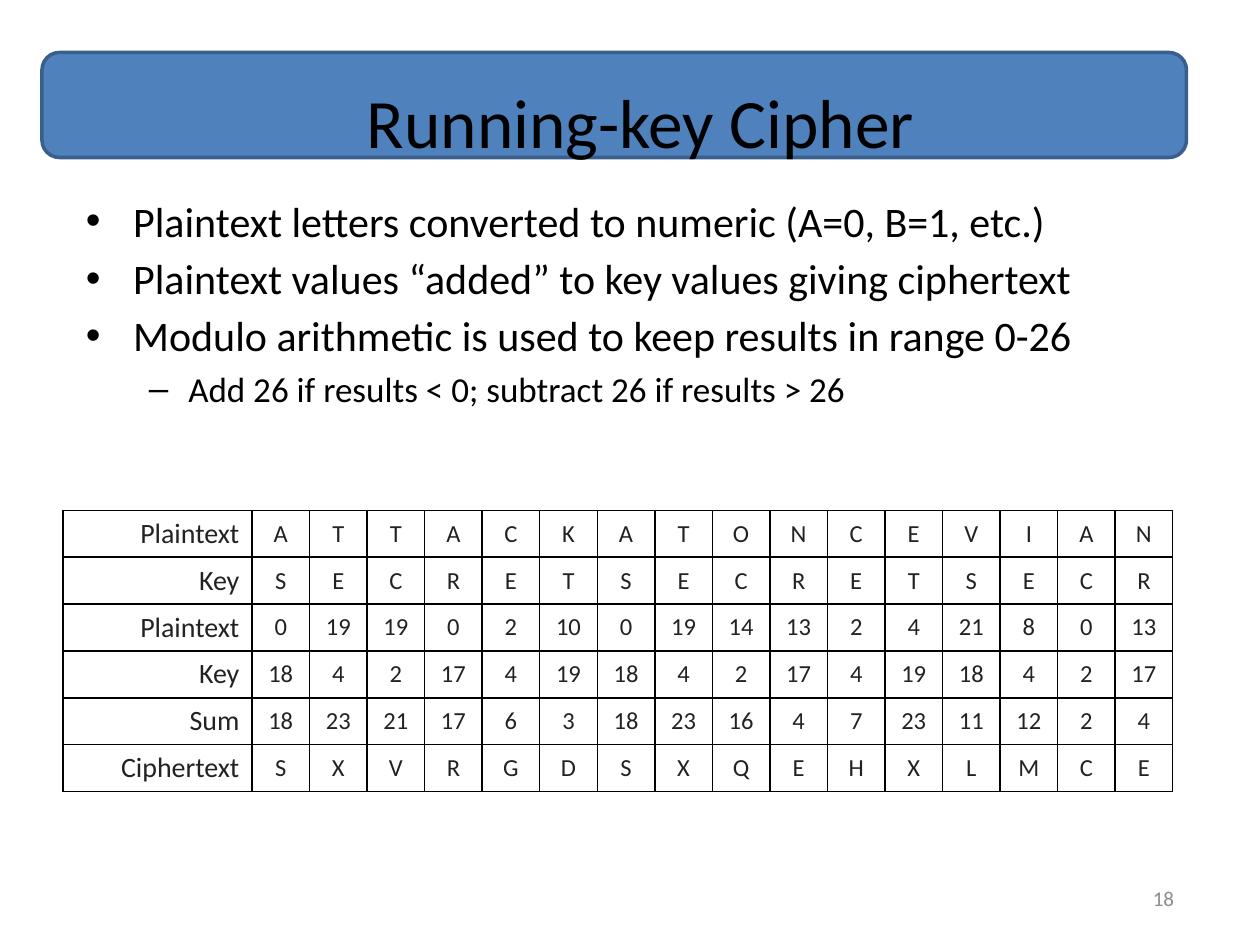
import lxml.etree
import pptx
import pptx.dml.color
import pptx.enum.shapes
import pptx.enum.text
import pptx.oxml.ns
import pptx.util

Pt = pptx.util.Pt
RGBColor = pptx.dml.color.RGBColor
ALIGN = pptx.enum.text.PP_ALIGN
MIDDLE = pptx.enum.text.MSO_ANCHOR.MIDDLE
qn = pptx.oxml.ns.qn

BLUE = RGBColor(0x4F, 0x81, 0xBD)
DARK_BLUE = RGBColor(0x3A, 0x5F, 0x8C)
BLACK = RGBColor(0, 0, 0)
CHARCOAL = RGBColor(0x22, 0x22, 0x22)
GRAY = RGBColor(0x8C, 0x8C, 0x8C)


def write(para, text, size, color, align=ALIGN.LEFT):
    para.alignment = align
    span = para.add_run()
    span.text = text
    span.font.color.rgb = color
    for name, value in {"name": "Calibri", "size": Pt(size)}.items():
        setattr(span.font, name, value)


def add_box(left, top, width, height, anchor):
    """Add a wrapping text box and return its text frame."""
    box = slide.shapes.add_textbox(Pt(left), Pt(top), Pt(width), Pt(height))
    for name, value in {"word_wrap": True, "vertical_anchor": anchor}.items():
        setattr(box.text_frame, name, value)
    return box.text_frame


deck = pptx.Presentation()
deck.slide_width, deck.slide_height = Pt(720), Pt(540)
slide = deck.slides.add_slide(deck.slide_layouts[6])

# Title on its banner
banner = slide.shapes.add_shape(
    pptx.enum.shapes.MSO_SHAPE.ROUNDED_RECTANGLE, Pt(24), Pt(30), Pt(654), Pt(60))
banner.shadow.inherit = False
banner.fill.solid()
banner.fill.fore_color.rgb = BLUE
banner.line.color.rgb = DARK_BLUE
banner.line.width = Pt(2)
title = add_box(54, 48, 624, 42, MIDDLE)
write(title.paragraphs[0], "Running-key Cipher", 39.6, BLACK, ALIGN.CENTER)

# Bullets: text, level, size, left margin, hanging indent, bullet
FIRST_LEVEL = (0, 24, 27, 27, "•")
SECOND_LEVEL = (1, 20, 58.5, 22.5, "–")
points = [
    ("Plaintext letters converted to numeric (A=0, B=1, etc.)", FIRST_LEVEL),
    ("Plaintext values “added” to key values giving ciphertext", FIRST_LEVEL),
    ("Modulo arithmetic is used to keep results in range 0-26", FIRST_LEVEL),
    ("Add 26 if results < 0; subtract 26 if results > 26", SECOND_LEVEL),
]
body = add_box(42, 108, 648, 144, pptx.enum.text.MSO_ANCHOR.TOP)
for index, (text, (level, size, margin, hanging, mark)) in enumerate(points):
    para = body.add_paragraph() if index else body.paragraphs[0]
    para.level = level
    if index:
        para.space_before = Pt(4)
    properties = para._p.get_or_add_pPr()
    properties.set("marL", str(Pt(margin)))
    properties.set("indent", str(-Pt(hanging)))
    lxml.etree.SubElement(properties, qn("a:buFont"), typeface="Arial")
    lxml.etree.SubElement(properties, qn("a:buChar"), char=mark)
    write(para, text, size, BLACK)

# Cipher table: letters and numbers follow A=0, B=1, ...
plaintext = "ATTACKATONCEVIAN"
key = "SECRETSECRETSECR"
sums = [18, 23, 21, 17, 6, 3, 18, 23, 16, 4, 7, 23, 11, 12, 2, 4]
rows = [
    ("Plaintext", plaintext),
    ("Key", key),
    ("Plaintext", [ord(letter) - ord("A") for letter in plaintext]),
    ("Key", [ord(letter) - ord("A") for letter in key]),
    ("Sum", sums),
    ("Ciphertext", [chr(ord("A") + number) for number in sums]),
]
LABEL_WIDTH, LETTER_WIDTH, ROW_HEIGHT = 108, 32.9, 26.8
table = slide.shapes.add_table(
    len(rows), len(plaintext) + 1, Pt(36), Pt(291.6),
    Pt(LABEL_WIDTH + LETTER_WIDTH * len(plaintext)), Pt(ROW_HEIGHT * len(rows))).table
table.first_row = table.horz_banding = False
for index, column in enumerate(table.columns):
    column.width = Pt(LETTER_WIDTH if index else LABEL_WIDTH)
for table_row, (label, values) in zip(table.rows, rows):
    table_row.height = Pt(ROW_HEIGHT)
    for index, (cell, value) in enumerate(zip(table_row.cells, [label, *values])):
        size, align = (14, ALIGN.CENTER) if index else (16, ALIGN.RIGHT)
        write(cell.text_frame.paragraphs[0], str(value), size, CHARCOAL, align)
        cell.vertical_anchor = MIDDLE
        properties = cell._tc.get_or_add_tcPr()
        for side in ("a:lnL", "a:lnR", "a:lnT", "a:lnB"):
            border = lxml.etree.SubElement(properties, qn(side), w=str(Pt(1)))
            fill = lxml.etree.SubElement(border, qn("a:solidFill"))
            lxml.etree.SubElement(fill, qn("a:srgbClr"), val=str(BLACK))
        cell.fill.background()

page_number = add_box(516, 498, 162, 30, MIDDLE)
write(page_number.paragraphs[0], "18", 12, GRAY, ALIGN.RIGHT)

deck.save("out.pptx")
